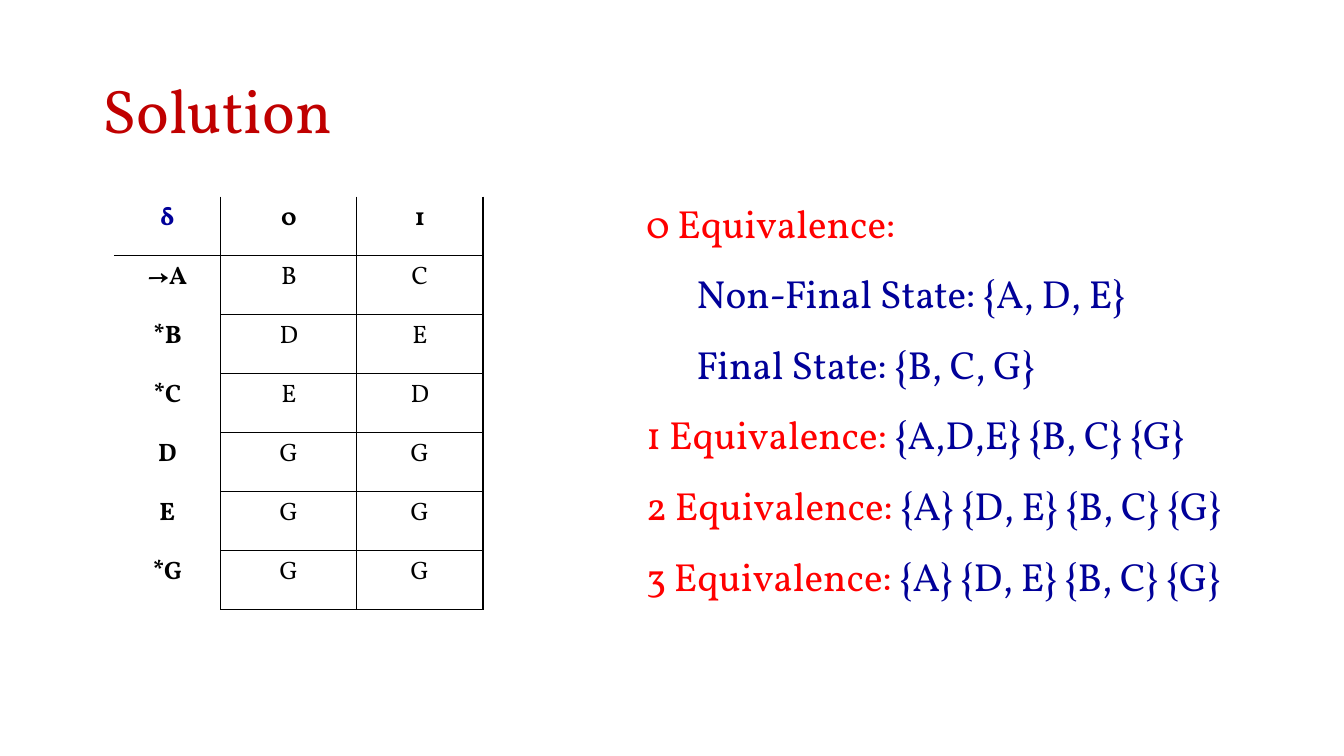
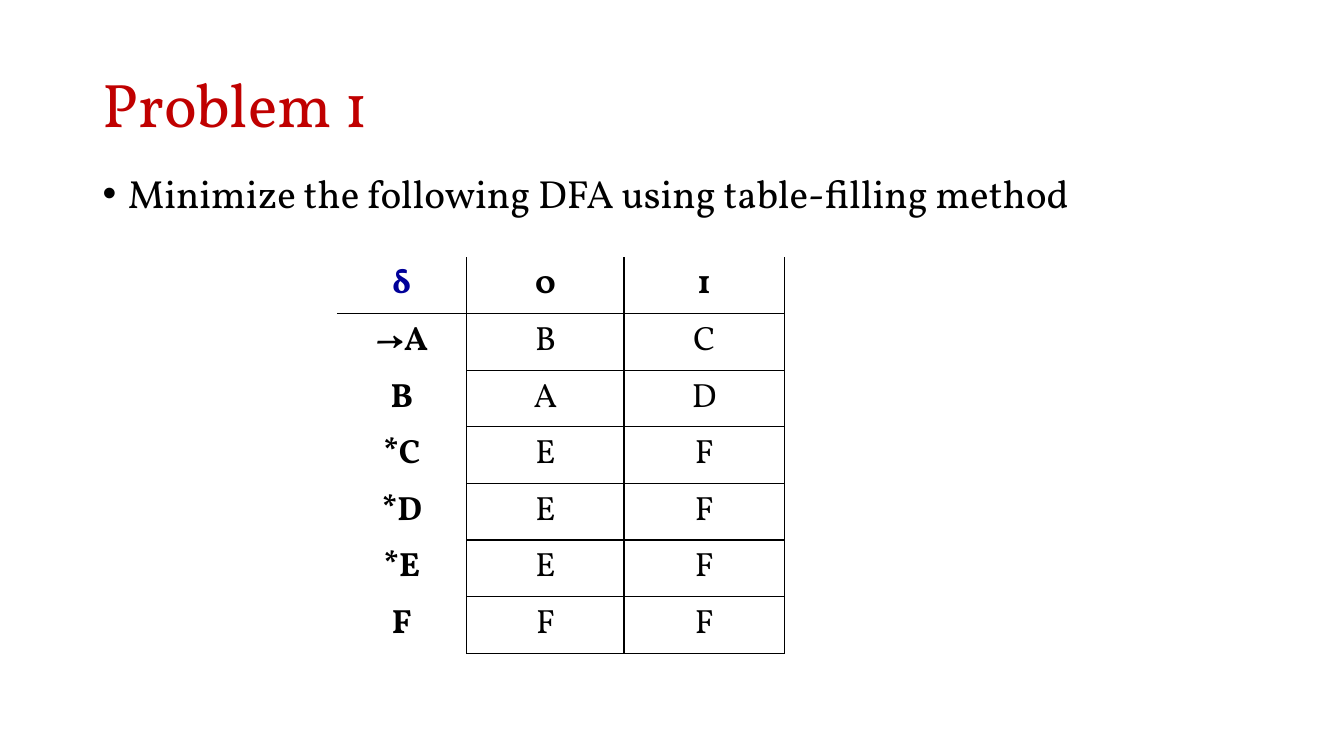
from lxml.etree import SubElement
from pptx import Presentation
from pptx.dml.color import RGBColor
from pptx.enum.text import MSO_ANCHOR, MSO_AUTO_SIZE, PP_ALIGN
from pptx.oxml.ns import qn
from pptx.util import Emu, Pt

EMU_PER_PX = 9144  # 100 px to the inch
FONT = "Vollkorn"
COLORS = {
    "title": "C00000",
    "heading": "FF0000",
    "accent": "000099",
    "text": "000000",
    "background": "FFFFFF",
}
TITLE_ONLY = 5
NO_STYLE_NO_GRID = "{2D5ABB26-0587-4C30-8999-92F81FD0307C}"

SOLUTION_ROWS = [
    ("δ", "0", "1"),
    ("→A", "B", "C"),
    ("*B", "D", "E"),
    ("*C", "E", "D"),
    ("D", "G", "G"),
    ("E", "G", "G"),
    ("*G", "G", "G"),
]
PROBLEM_ROWS = [
    ("δ", "0", "1"),
    ("→A", "B", "C"),
    ("B", "A", "D"),
    ("*C", "E", "F"),
    ("*D", "E", "F"),
    ("*E", "E", "F"),
    ("F", "F", "F"),
]
# Each line: indent level, red heading, blue state sets
EQUIVALENCE_LINES = [
    (0, "0 Equivalence:", ""),
    (1, "", "Non-Final State: {A, D, E}"),
    (1, "", "Final State: {B, C, G}"),
    (0, "1 Equivalence: ", "{A,D,E} {B, C} {G}"),
    (0, "2 Equivalence: ", "{A} {D, E} {B, C} {G}"),
    (0, "3 Equivalence: ", "{A} {D, E} {B, C} {G}"),
]


def px(length):
    return Emu(length * EMU_PER_PX)


def set_color(font, color):
    font.color.rgb = RGBColor.from_string(COLORS[color])


def set_font(font, size, color=None, bold=False):
    font.name = FONT
    font.size = Pt(size)
    font.bold = bold
    if color:
        set_color(font, color)


def set_indent(paragraph, left, first_line=0):
    properties = paragraph._p.get_or_add_pPr()
    properties.set("marL", str(px(left)))
    properties.set("indent", str(px(first_line)))
    return properties


def add_slide(presentation, title, top):
    slide = presentation.slides.add_slide(presentation.slide_layouts[TITLE_ONLY])
    slide.background.fill.solid()
    slide.background.fill.fore_color.rgb = RGBColor.from_string(COLORS["background"])
    shape = slide.shapes.title
    shape.left, shape.top, shape.width, shape.height = map(px, (92, top, 1150, 145))
    frame = shape.text_frame
    frame.text = title
    frame.auto_size = MSO_AUTO_SIZE.NONE
    frame.vertical_anchor = MSO_ANCHOR.MIDDLE
    paragraph = frame.paragraphs[0]
    paragraph.alignment = PP_ALIGN.LEFT
    paragraph.line_spacing = 0.9
    set_font(paragraph.font, 44, "title")
    return slide


def add_text_frame(slide, left, top, width, height):
    frame = slide.shapes.add_textbox(*map(px, (left, top, width, height))).text_frame
    frame.word_wrap = True
    return frame


def set_borders(cell, visible_sides):
    """Draw the given sides (letters of LRTB) and clear the others."""
    properties = cell._tc.get_or_add_tcPr()
    for side in "LRTB":
        line = SubElement(properties, qn(f"a:ln{side}"), w=str(Pt(1)))
        if side in visible_sides:
            fill = SubElement(line, qn("a:solidFill"))
            SubElement(fill, qn("a:srgbClr"), val=COLORS["text"])
        else:
            SubElement(line, qn("a:noFill"))


def border_sides(row, column):
    """Open outer edges at the header and the state column."""
    if column == 0:
        return {0: "RB", 1: "RT"}.get(row, "R")
    return "LRB" if row == 0 else "LRTB"


def add_transition_table(slide, rows, left, top, column_widths, height, size, anchor):
    table = slide.shapes.add_table(
        len(rows), len(column_widths),
        px(left), px(top), px(sum(column_widths)), px(height),
    ).table
    table.first_row = table.horz_banding = False
    table._tbl.tblPr.find(qn("a:tableStyleId")).text = NO_STYLE_NO_GRID
    for column, width in zip(table.columns, column_widths):
        column.width = px(width)
    for row_index, values in enumerate(rows):
        table.rows[row_index].height = Emu(px(height) // len(rows))
        for column_index, value in enumerate(values):
            cell = table.cell(row_index, column_index)
            cell.text = value
            cell.vertical_anchor = anchor
            set_borders(cell, border_sides(row_index, column_index))
            cell.fill.background()
            paragraph = cell.text_frame.paragraphs[0]
            paragraph.alignment = PP_ALIGN.CENTER
            color = "accent" if value == "δ" else "text"
            set_font(paragraph.font, size, color, bold=row_index == 0 or column_index == 0)


def add_equivalences(slide):
    frame = add_text_frame(slide, 631, 169, 620, 427)
    frame.auto_size = MSO_AUTO_SIZE.SHAPE_TO_FIT_TEXT
    for index, (level, heading, states) in enumerate(EQUIVALENCE_LINES):
        paragraph = frame.add_paragraph() if index else frame.paragraphs[0]
        paragraph.level = level
        set_indent(paragraph, 50 * level)
        paragraph.line_spacing = 1.5
        set_font(paragraph.font, 28)
        for text, color in ((heading, "heading"), (states, "accent")):
            if text:
                run = paragraph.add_run()
                run.text = text
                set_color(run.font, color)


def add_bullet(slide, text):
    frame = add_text_frame(slide, 92, 168, 1150, 508)
    paragraph = frame.paragraphs[0]
    paragraph.text = text
    paragraph.alignment = PP_ALIGN.JUSTIFY
    paragraph.line_spacing = 0.9
    properties = set_indent(paragraph, 25, -25)
    SubElement(properties, qn("a:buFont"), typeface="Arial")
    SubElement(properties, qn("a:buChar"), char="•")
    set_font(paragraph.font, 28, "text")


def main():
    presentation = Presentation()
    presentation.slide_width, presentation.slide_height = px(1333), px(750)

    solution = add_slide(presentation, "Solution", 40)
    add_transition_table(solution, SOLUTION_ROWS, 113, 195, (106, 135, 125), 410, 18, MSO_ANCHOR.TOP)
    add_equivalences(solution)

    problem = add_slide(presentation, "Problem 1", 34)
    add_bullet(problem, "Minimize the following DFA using table-filling method")
    add_transition_table(problem, PROBLEM_ROWS, 334, 255, (129, 156, 159), 393, 24, MSO_ANCHOR.MIDDLE)

    presentation.save("out.pptx")


if __name__ == "__main__":
    main()
